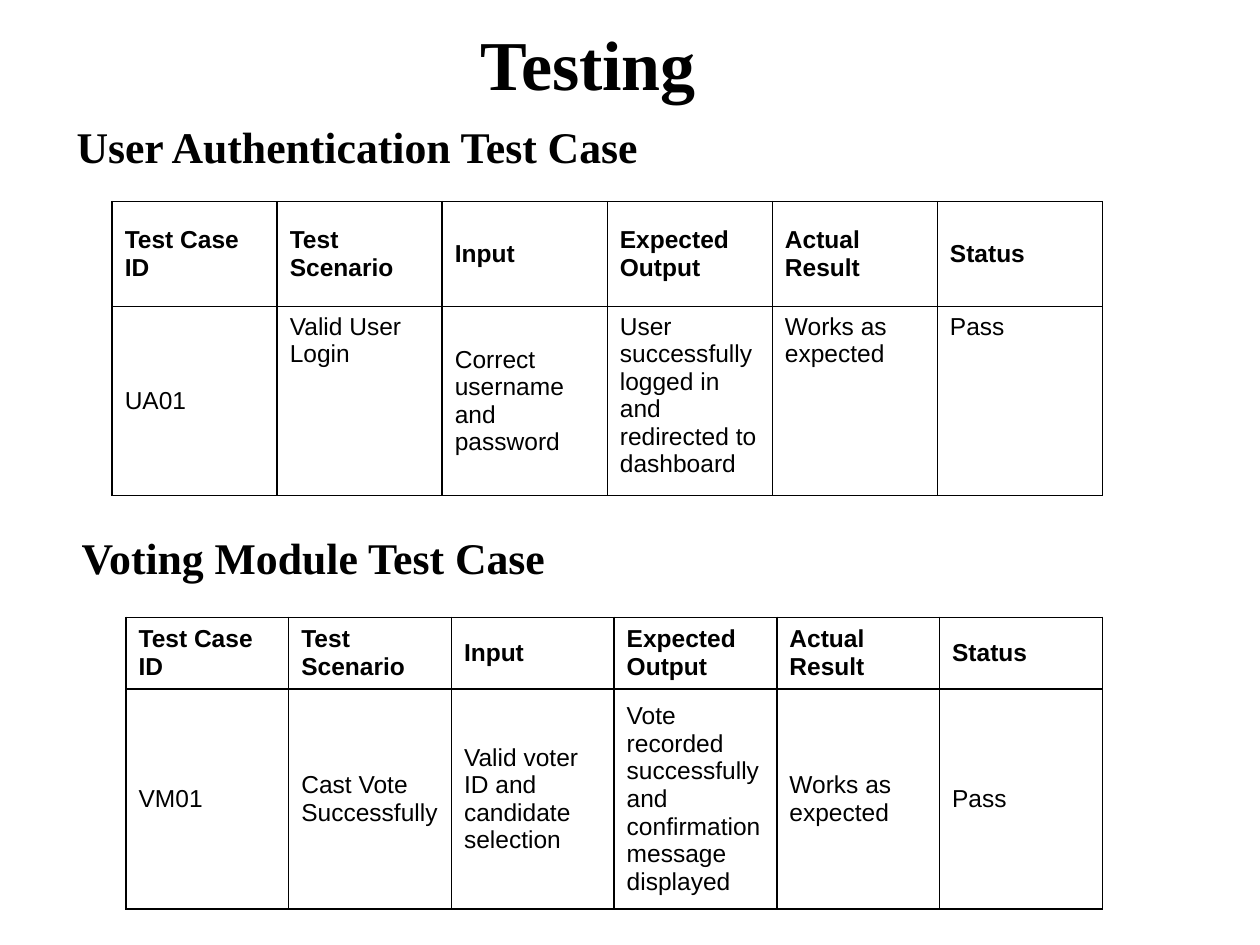
from lxml.etree import SubElement
from pptx import Presentation
from pptx.dml.color import RGBColor
from pptx.enum.text import MSO_ANCHOR, PP_ALIGN
from pptx.oxml.ns import qn
from pptx.util import Inches, Pt

WIDE, HIGH = 10, 7.5
INK = "000000"
SERIF, SANS = "Times New Roman", "Arial"
MID, TOP = MSO_ANCHOR.MIDDLE, MSO_ANCHOR.TOP
HEAD = ["Test Case ID", "Test Scenario", "Input",
        "Expected Output", "Actual Result", "Status"]


def color(code):
    return RGBColor.from_string(code)


def style(para, face, size, bold):
    font = para.font
    font.name, font.size, font.bold = face, Pt(size), bold
    font.color.rgb = color(INK)


def add_text(slide, box, words, size, align=PP_ALIGN.LEFT, anchor=TOP):
    frame = slide.shapes.add_textbox(*map(Inches, box)).text_frame
    frame.word_wrap = True
    frame.vertical_anchor = anchor
    para = frame.paragraphs[0]
    para.text, para.alignment = words, align
    style(para, SERIF, size, True)


def add_border(cell):
    props = cell._tc.get_or_add_tcPr()
    for side in ("lnL", "lnR", "lnT", "lnB"):
        line = SubElement(props, qn(f"a:{side}"), w=str(Pt(1)))
        fill = SubElement(line, qn("a:solidFill"))
        SubElement(fill, qn("a:srgbClr"), val=INK)


def add_case(slide, box, shares, values, anchors):
    """Table of one test case; shares split the height into rows."""
    left, top, width, height = box
    table = slide.shapes.add_table(
        len(shares), len(HEAD), *map(Inches, box)).table
    for col in table.columns:
        col.width = Inches(width / len(HEAD))
    for row, share in zip(table.rows, shares):
        row.height = Inches(height * share)
    rows = [(HEAD, [MID] * len(HEAD)), (values, anchors)]
    for r, (texts, places) in enumerate(rows):
        for c, (words, place) in enumerate(zip(texts, places)):
            cell = table.cell(r, c)
            cell.text, cell.vertical_anchor = words, place
            style(cell.text_frame.paragraphs[0], SANS, 14, r == 0)
            add_border(cell)
            cell.fill.background()


def main():
    deck = Presentation()
    deck.slide_width, deck.slide_height = Inches(WIDE), Inches(HIGH)
    slide = deck.slides.add_slide(deck.slide_layouts[6])

    # Title
    add_text(slide, (0.17, 0.08, 0.9 * WIDE, 0.83), "Testing", 40,
             PP_ALIGN.CENTER, MID)

    # User authentication
    add_text(slide, (0.51, 0.9, 4.73, 0.52), "User Authentication Test Case", 25)
    add_case(slide, (0.89, 1.6, 7.86, 2.25), (0.37, 0.63),
             ["UA01", "Valid User Login", "Correct username and password",
              "User successfully logged in and redirected to dashboard",
              "Works as expected", "Pass"],
             [MID, TOP, MID, TOP, TOP, TOP])

    # Voting module
    add_text(slide, (0.55, 4.16, 4.45, 0.52), "Voting Module Test Case", 25)
    add_case(slide, (1, 4.9, 7.75, 2.3), (0.24, 0.76),
             ["VM01", "Cast Vote Successfully",
              "Valid voter ID and candidate selection",
              "Vote recorded successfully and confirmation message displayed",
              "Works as expected", "Pass"],
             [MID] * len(HEAD))

    deck.save("out.pptx")


if __name__ == "__main__":
    main()
